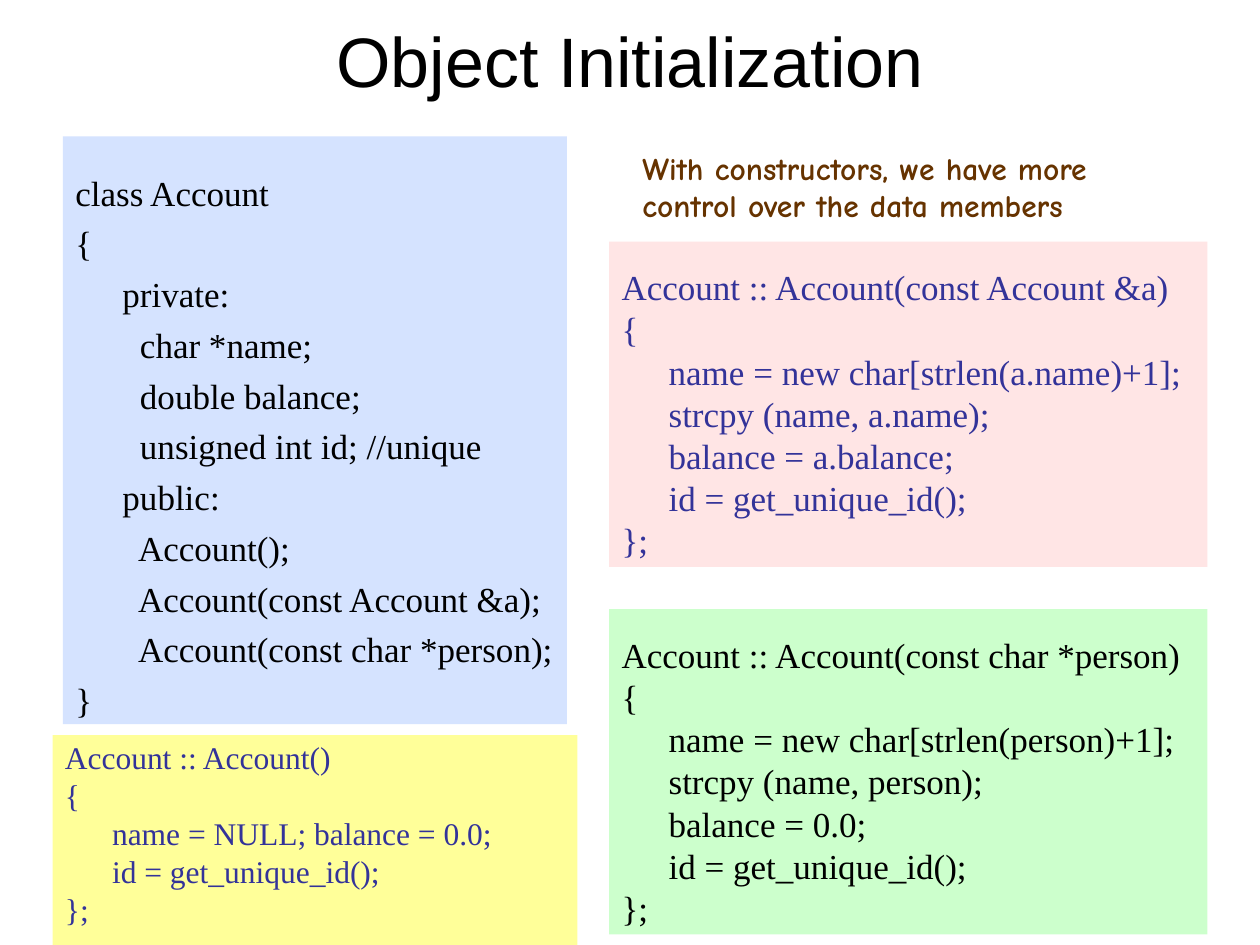
from dataclasses import dataclass

import pptx
import pptx.dml.color
import pptx.enum.shapes
import pptx.enum.text
import pptx.util

Cm = pptx.util.Cm
Pt = pptx.util.Pt
ALIGN = pptx.enum.text.PP_ALIGN
ANCHOR = pptx.enum.text.MSO_ANCHOR

INK = "000000"
NAVY = "333399"
CODE_INDENT = Cm(0.95)


@dataclass
class CodePanel:
    left: float
    top: float
    width: float
    height: float
    fill: str
    color: str
    code: str
    size: int = 20
    spacing: float = 0.8
    space_before: float = 4.9
    top_inset: float = 0.65


def rgb(value: str):
    return pptx.dml.color.RGBColor.from_string(value)


def write(frame, text, *, size, font, color, bold=False, align=ALIGN.LEFT,
          anchor=ANCHOR.TOP, spacing=1.0, space_before=0, hanging=0):
    frame.word_wrap = True
    frame.auto_size = pptx.enum.text.MSO_AUTO_SIZE.NONE
    frame.vertical_anchor = anchor
    for number, line in enumerate(text.split("\n")):
        paragraph = frame.add_paragraph() if number else frame.paragraphs[0]
        paragraph.text = line
        paragraph.alignment = align
        paragraph.line_spacing = spacing
        paragraph.space_before = Pt(space_before if number else 0)
        if hanging:
            properties = paragraph._p.get_or_add_pPr()
            properties.set("marL", str(hanging))
            properties.set("indent", str(-hanging))
        paragraph.font.size = Pt(size)
        paragraph.font.name = font
        paragraph.font.bold = bold
        paragraph.font.color.rgb = rgb(color)


def draw_panel(slide, panel: CodePanel) -> None:
    box = slide.shapes.add_shape(
        pptx.enum.shapes.MSO_SHAPE.RECTANGLE,
        Cm(panel.left), Cm(panel.top), Cm(panel.width), Cm(panel.height))
    box.shadow.inherit = False
    box.fill.solid()
    box.fill.fore_color.rgb = rgb(panel.fill)
    box.line.fill.background()
    box.text_frame.margin_top = Cm(panel.top_inset)
    box.text_frame.margin_right = 0
    write(box.text_frame, panel.code, size=panel.size, font="Times New Roman",
          color=panel.color, spacing=panel.spacing,
          space_before=panel.space_before, hanging=CODE_INDENT)


CLASS_DECLARATION = """class Account
{
\tprivate:
\t  char *name;
\t  double balance;
\t  unsigned int id; //unique
\tpublic:
\t  Account();
\t  Account(const Account &a);
\t  Account(const char *person);
}"""

DEFAULT_CONSTRUCTOR = """Account :: Account()
{
\tname = NULL; balance = 0.0;
\tid = get_unique_id();
};"""


def copying_constructor(parameter: str, name: str, balance: str) -> str:
    return f"""Account :: Account({parameter})
{{
\tname = new char[strlen({name})+1];
\tstrcpy (name, {name});
\tbalance = {balance};
\tid = get_unique_id();
}};"""


PANELS = [
    CodePanel(1.27, 2.75, 10.16, 11.85, "D5E3FF", INK, CLASS_DECLARATION,
              spacing=1.0, space_before=5, top_inset=0.7),
    CodePanel(1.06, 14.82, 10.58, 4.23, "FFFF99", NAVY, DEFAULT_CONSTRUCTOR,
              size=18, space_before=4.4, top_inset=0.2),
    CodePanel(12.28, 4.87, 12.06, 6.56, "FFE5E5", NAVY,
              copying_constructor("const Account &a", "a.name", "a.balance")),
    CodePanel(12.28, 12.28, 12.06, 6.56, "CCFFCC", INK,
              copying_constructor("const char *person", "person", "0.0")),
]


def main() -> None:
    deck = pptx.Presentation()
    deck.slide_width, deck.slide_height = Cm(25.4), Cm(19.05)
    slide = deck.slides.add_slide(deck.slide_layouts[5])

    title = slide.shapes.title
    title.left, title.top = Cm(1.27), Cm(0.2)
    title.width, title.height = Cm(22.86), Cm(1.98)
    write(title.text_frame, "Object Initialization", size=40, font="Arial",
          color=INK, align=ALIGN.CENTER, anchor=ANCHOR.MIDDLE)

    for panel in PANELS:
        draw_panel(slide, panel)

    remark = slide.shapes.add_textbox(Cm(12.7), Cm(2.87), Cm(11.13), Cm(1.78))
    write(remark.text_frame,
          "With constructors, we have more\ncontrol over the data members",
          size=18, font="Comic Neue", color="663300", bold=True)

    deck.save("out.pptx")


if __name__ == "__main__":
    main()
